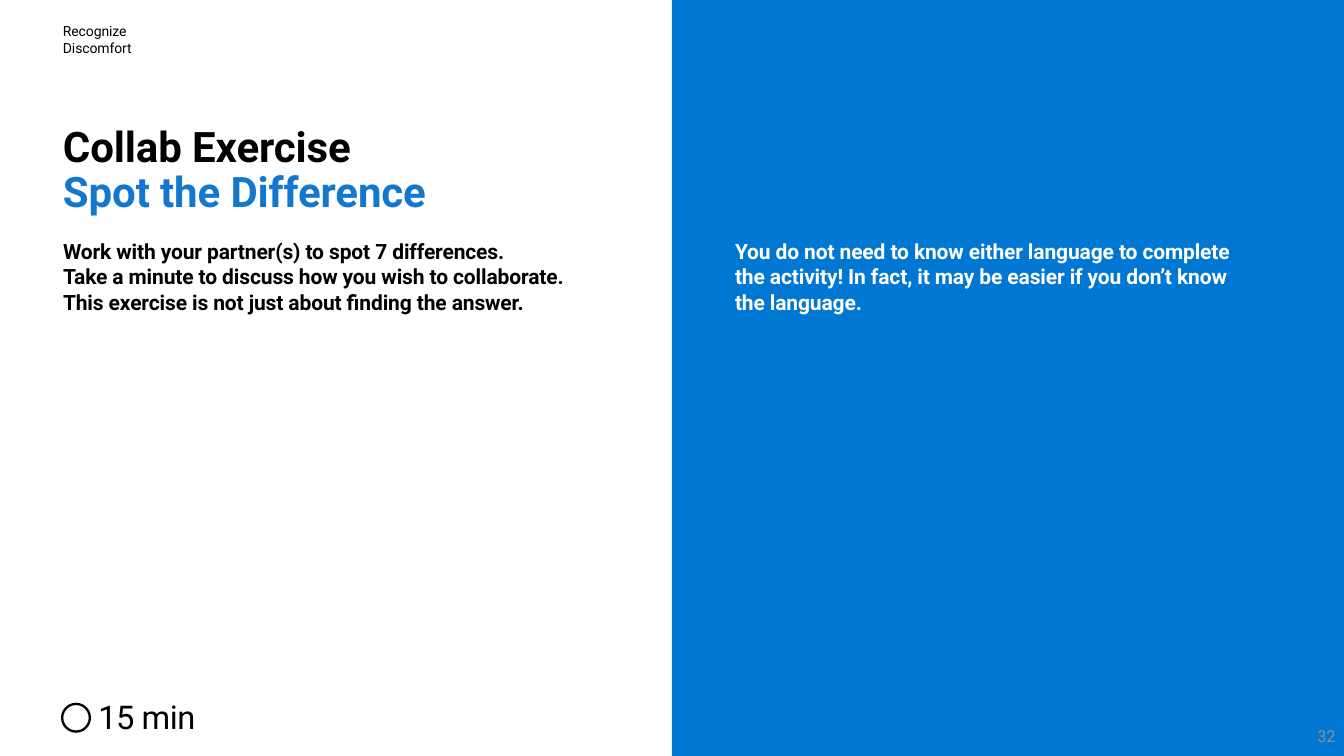
from dataclasses import dataclass

from pptx import Presentation
from pptx import util as u
from pptx.dml.color import RGBColor
from pptx.enum import shapes, text


@dataclass(frozen=True)
class Theme:
    font: str = "Roboto"
    black: str = "000000"
    white: str = "FFFFFF"
    panel: str = "0078D3"
    accent: str = "1378CD"
    grey: str = "8C8C8C"
    title: int = 36
    time: int = 28
    body: int = 18
    number: int = 14
    label: int = 12


theme = Theme()
prs = Presentation()
prs.slide_width, prs.slide_height = u.Inches(16), u.Inches(9)
s = prs.slides.add_slide(prs.slide_layouts[6])


def add_text(lines, box, size, color=theme.black, bold=False, spacing=None, inset=(0.01, 0.01, 0, 0),
             anchor=text.MSO_ANCHOR.TOP, align=text.PP_ALIGN.LEFT, track=-0.1):
    """Add one paragraph; each line is (text, colour) or plain text."""
    sp = s.shapes.add_textbox(*map(u.Inches, box))
    tf = sp.text_frame
    tf.word_wrap = True
    tf.vertical_anchor = anchor
    tf.margin_left, tf.margin_top, tf.margin_right, tf.margin_bottom = map(u.Inches, inset)
    p = tf.paragraphs[0]
    p.alignment = align
    p.line_spacing = spacing
    for i, line in enumerate(lines):
        words, shade = line if isinstance(line, tuple) else (line, color)
        if i:
            p.add_line_break()
        r = p.add_run()
        r.text = words
        r.font.name, r.font.size, r.font.bold = theme.font, u.Pt(size), bold
        r.font.color.rgb = RGBColor.from_string(shade)
        r.font._element.set("spc", str(round(track * 100)))


left, half = 0.74, 8

# Right panel
panel = s.shapes.add_shape(shapes.MSO_SHAPE.RECTANGLE, u.Inches(half), 0, u.Inches(half), u.Inches(9))
panel.shadow.inherit = False
panel.fill.solid()
panel.fill.fore_color.rgb = RGBColor.from_string(theme.panel)
panel.line.fill.background()

# Section label and title
add_text(["Recognize Discomfort"], (left, 0.26, 1.5, 0.42), theme.label)
add_text(["Collab Exercise", ("Spot the Difference", theme.accent)], (left, 1.42, 5.93, 1.16),
         theme.title, bold=True, spacing=u.Pt(38), inset=(0.01, 0.09, 0, 0))

# Instructions in both halves
instructions = [
    (["Work with your partner(s) to spot 7 differences.",
      "Take a minute to discuss how you wish to collaborate. This exercise is not just about finding the answer."],
     theme.black),
    (["You do not need to know either language to complete the activity! "
      "In fact, it may be easier if you don’t know the language."], theme.white),
]
for i, (lines, color) in enumerate(instructions):
    add_text(lines, (left + i * half, 2.82, 6.18, 0.91), theme.body, color, bold=True, spacing=1.02)

# Duration
add_text(["15 min"], (1.16, 8.26, 1.71, 0.51), theme.time, inset=(0.01, 0.04, 0, 0), track=-0.4)
clock = s.shapes.add_shape(shapes.MSO_SHAPE.OVAL, *map(u.Inches, (left, 8.38, 0.33, 0.33)))
clock.shadow.inherit = False
clock.fill.background()
clock.line.color.rgb = RGBColor.from_string(theme.black)
clock.line.width = u.Pt(2)

# Slide number
add_text(["32"], (12.4, 8.52, 3.6, 0.48), theme.number, theme.grey, inset=(0.1, 0.05, 0.1, 0.05),
         anchor=text.MSO_ANCHOR.MIDDLE, align=text.PP_ALIGN.RIGHT, track=0)

prs.save("out.pptx")
